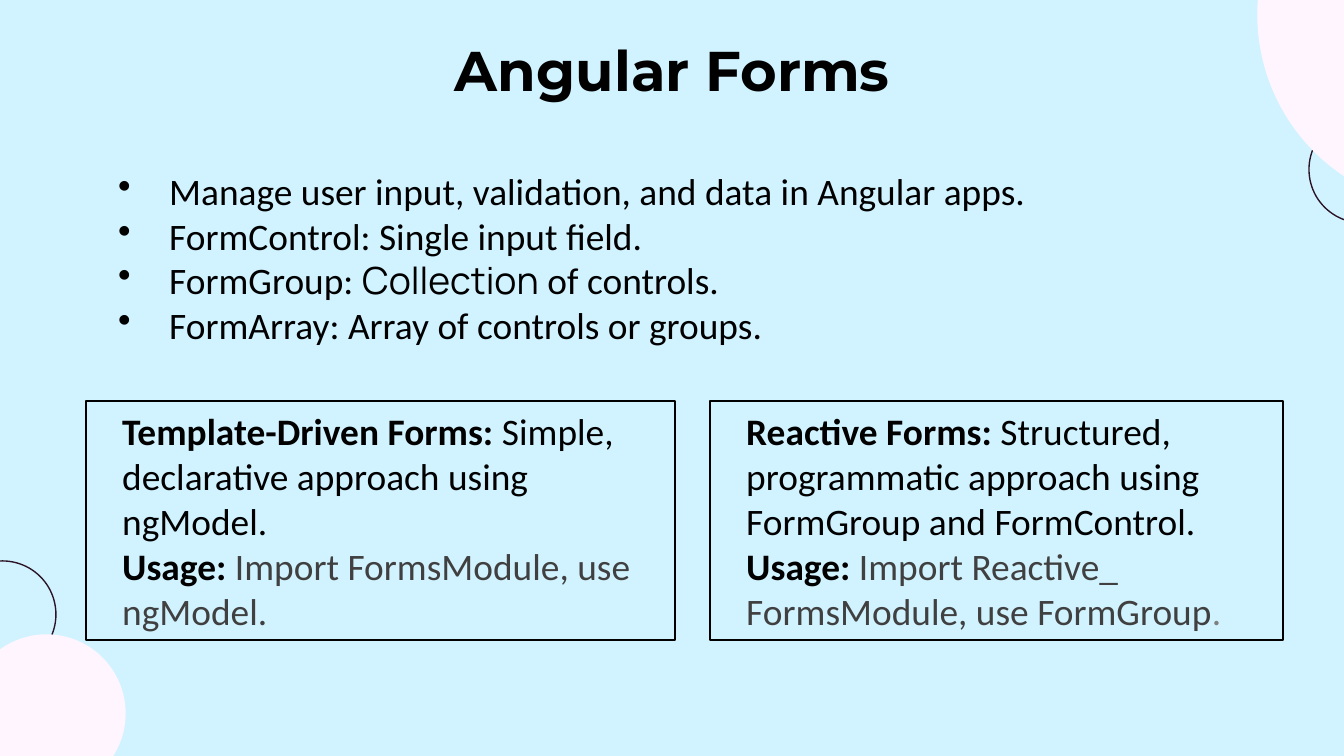
from dataclasses import dataclass

from lxml import etree
from pptx import Presentation
from pptx.dml.color import RGBColor
from pptx.enum.shapes import MSO_SHAPE
from pptx.enum.text import MSO_ANCHOR, PP_ALIGN
from pptx.oxml.ns import qn
from pptx.util import Pt

EMU_PER_PX = 914400 / 134.4
OVAL, RECTANGLE = MSO_SHAPE.OVAL, MSO_SHAPE.RECTANGLE
TOP, MIDDLE = MSO_ANCHOR.TOP, MSO_ANCHOR.MIDDLE
LEFT, CENTER = PP_ALIGN.LEFT, PP_ALIGN.CENTER


@dataclass(frozen=True)
class Theme:
    background: str = "D1F3FF"
    blush: str = "FFF5FE"
    plum: str = "2C1426"
    ink: str = "000000"
    muted: str = "404040"
    faint: str = "808080"
    heading_font: str = "Montserrat"
    body_font: str = "Calibri"
    accent_font: str = "Manrope"
    heading_size: int = 30
    body_size: int = 20
    line_width: float = 0.75


@dataclass(frozen=True)
class Span:
    text: str
    color: str = Theme.ink
    bold: bool = False
    font: str = Theme.body_font
    size: int = Theme.body_size


def px(length):
    return round(length * EMU_PER_PX)


class SlideBuilder:
    def __init__(self, slide, theme):
        self.slide = slide
        self.theme = theme
        fill = slide.background.fill
        fill.solid()
        fill.fore_color.rgb = RGBColor.from_string(theme.background)

    def shape(self, kind, box, line, fill=None):
        shape = self.slide.shapes.add_shape(kind, *map(px, box))
        shape.shadow.inherit = False
        shape.line.color.rgb = RGBColor.from_string(line)
        shape.line.width = Pt(self.theme.line_width)
        if fill:
            shape.fill.solid()
            shape.fill.fore_color.rgb = RGBColor.from_string(fill)
        else:
            shape.fill.background()
        return shape

    def circle(self, left, top, diameter, line, fill=None):
        self.shape(OVAL, (left, top, diameter, diameter), line, fill)

    def add_text(self, frame, paragraphs, anchor, align=LEFT, margin=0, hanging=0):
        frame.word_wrap = True
        frame.vertical_anchor = anchor
        for index, spans in enumerate(paragraphs):
            paragraph = frame.paragraphs[0] if index == 0 else frame.add_paragraph()
            paragraph.alignment = align
            properties = paragraph._p.get_or_add_pPr()
            properties.set("marL", str(px(margin)))
            properties.set("indent", str(-px(hanging)))
            if hanging:
                self.bullet(properties)
            for span in spans:
                run = paragraph.add_run()
                run.text = span.text
                run.font.name = span.font
                run.font.size = Pt(span.size)
                run.font.bold = span.bold
                run.font.color.rgb = RGBColor.from_string(span.color)

    def bullet(self, properties):
        color = etree.SubElement(properties, qn("a:buClr"))
        etree.SubElement(color, qn("a:srgbClr")).set("val", self.theme.ink)
        etree.SubElement(properties, qn("a:buChar")).set("char", "•")

    def title(self, box, text):
        frame = self.slide.shapes.add_textbox(*map(px, box)).text_frame
        frame.margin_top = frame.margin_bottom = px(13)
        heading = Span(text, bold=True, font=self.theme.heading_font,
                       size=self.theme.heading_size)
        self.add_text(frame, [[heading]], TOP, CENTER)

    def bullets(self, box, paragraphs):
        frame = self.slide.shapes.add_textbox(*map(px, box)).text_frame
        self.add_text(frame, paragraphs, MIDDLE, margin=73, hanging=51)

    def card(self, box, paragraphs):
        frame = self.shape(RECTANGLE, box, self.theme.ink).text_frame
        self.add_text(frame, paragraphs, MIDDLE, margin=23)


def main():
    theme = Theme()
    presentation = Presentation()
    presentation.slide_width, presentation.slide_height = px(1344), px(756)
    slide = presentation.slides.add_slide(presentation.slide_layouts[6])
    builder = SlideBuilder(slide, theme)

    # Corner decoration: outlined circles behind filled ones
    for left, top in ((1309, 116), (-51, 561)):
        builder.circle(left, top, 107, theme.plum)
    for left, top, diameter in ((1258, -179, 387), (-32, 635, 157)):
        builder.circle(left, top, diameter, theme.blush, theme.blush)

    # Heading
    builder.title((106, 23, 1133, 85), "Angular Forms")

    # Building blocks of a form
    builder.bullets((83, 160, 1224, 195), [
        [Span("Manage user input, validation, and data in Angular apps.")],
        [Span("FormControl: Single input field.")],
        [Span("FormGroup: "), Span("Collection", font=theme.accent_font),
         Span(" of controls.")],
        [Span("FormArray: Array of controls or groups.")],
    ])

    # The two approaches, side by side
    approaches = [
        (86, 589, "Template-Driven Forms: ",
         "Simple, declarative approach using ngModel.",
         [Span("Import FormsModule, use ngModel.", theme.muted)]),
        (710, 573, "Reactive Forms: ",
         "Structured, programmatic approach using FormGroup and FormControl.",
         [Span("Import Reactive_ FormsModule, use FormGroup", theme.muted),
          Span(".", theme.faint)]),
    ]
    for left, width, name, summary, usage in approaches:
        builder.card((left, 401, width, 239), [
            [Span(name, bold=True), Span(summary)],
            [Span("Usage: ", bold=True), *usage],
        ])

    presentation.save("out.pptx")


if __name__ == "__main__":
    main()
